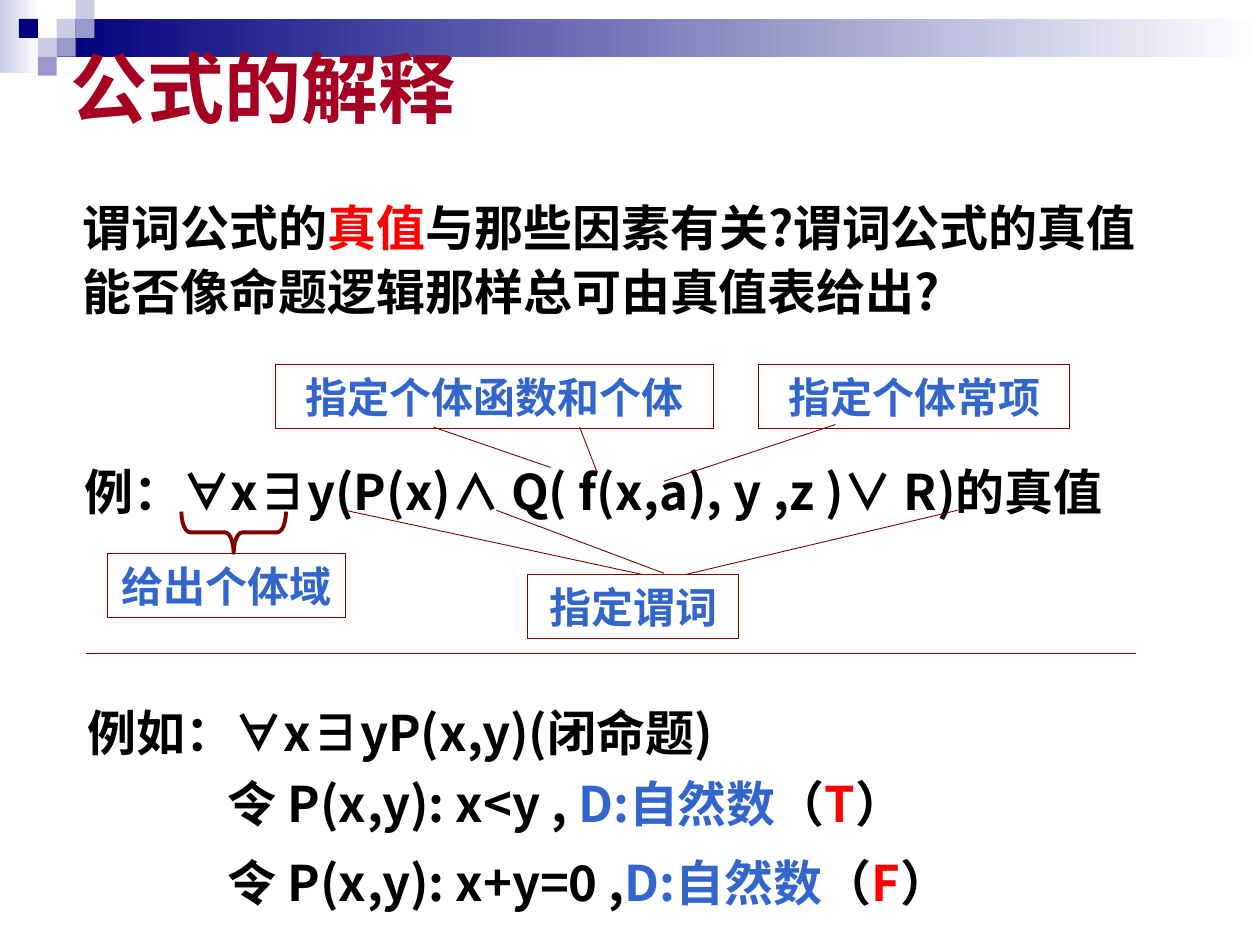
from lxml.etree import SubElement
from pptx import Presentation
from pptx.dml.color import RGBColor
from pptx.enum.shapes import MSO_CONNECTOR as Link, MSO_SHAPE as Shape
from pptx.enum.text import MSO_ANCHOR as Anchor, PP_ALIGN as Align
from pptx.oxml.ns import qn
from pptx.util import Pt

PX = 9144
FONT = "Noto Sans CJK SC"
BLACK, RED, BLUE, MAROON = "000000", "FF0000", "3366CC", "800000"
NAVY, MID, PALE, WHITE = "00007D", "9999CC", "CCCCE6", "FFFFFF"


def px(*nums):
    """Turn px lengths into EMU."""
    return [n * PX for n in nums]


def paint(part, hue):
    """Give a fill, line or font part a hex colour."""
    if hasattr(part, "solid"):
        part.solid()
        part = part.fore_color
    else:
        part = part.color
    part.rgb = RGBColor.from_string(hue)


def write(shape, runs, size=28, hue=BLACK, space=1.0, align=Align.LEFT,
          anchor=Anchor.TOP, wrap=True):
    """Write one bold paragraph of plain or (text, hue) runs."""
    frame = shape.text_frame
    frame.word_wrap, frame.vertical_anchor = wrap, anchor
    para = frame.paragraphs[0]
    para.line_spacing, para.alignment = space, align
    for item in runs:
        words, tint = item if isinstance(item, tuple) else (item, hue)
        run = para.add_run()
        run.text = words
        font = run.font
        font.size, font.bold, font.name = Pt(size), True, FONT
        paint(font, tint)
        SubElement(font._element, qn("a:ea"), typeface=FONT)


def text(slide, box, *runs, **form):
    """Add a text box with its runs."""
    write(slide.shapes.add_textbox(*px(*box)), runs, **form)


def block(slide, box, hue, end=None):
    """Add a borderless block, fading to the end colour if there is one."""
    shape = slide.shapes.add_shape(Shape.RECTANGLE, *px(*box))
    shape.shadow.inherit = False
    shape.line.fill.background()
    if end is None:
        paint(shape.fill, hue)
        return
    shape.fill.gradient()
    shape.fill.gradient_angle = 0
    for stop, tint, place in zip(shape.fill.gradient_stops, (hue, end), (0, 1)):
        stop.color.rgb = RGBColor.from_string(tint)
        stop.position = place


def outline(slide, kind, box, width=0.5):
    """Add an unfilled maroon shape."""
    shape = slide.shapes.add_shape(kind, *px(*box))
    shape.shadow.inherit = False
    shape.fill.background()
    paint(shape.line, MAROON)
    shape.line.width = Pt(width)
    return shape


def line(slide, *ends):
    """Add a thin maroon line."""
    link = slide.shapes.add_connector(Link.STRAIGHT, *px(*ends))
    paint(link.line, MAROON)
    link.line.width = Pt(0.5)
    SubElement(link._element.spPr, qn("a:effectLst"))


def label(slide, box, words):
    """Add a framed blue label."""
    write(outline(slide, Shape.RECTANGLE, box), [words], size=24, hue=BLUE,
          align=Align.CENTER, anchor=Anchor.MIDDLE, wrap=False)


def banner(slide, x, y, w):
    """Place the fading bands and the mosaic at the top."""
    cell = 15
    block(slide, (x, y, 31, 58), PALE, WHITE)
    block(slide, (x + 3 * cell, y + cell, w - 3 * cell, 2 * cell), NAVY, WHITE)
    tiles = [(3, 1, PALE), (4, 0, PALE), (4, 1, MID), (2, 2, PALE),
             (1, 1, NAVY), (3, 2, MID), (2, 3, MID)]
    for col, row, hue in tiles:
        block(slide, (x + col * cell, y + row * cell, cell, cell), hue)


def intro(slide, x, y, w):
    """Place the title and the question."""
    text(slide, (x, y, 361, 84), "公式的解释", size=44, hue="A50021")
    text(slide, (x + 10, y + 120, w, 114), "谓词公式的", ("真值", RED),
         "与那些因素有关?谓词公式的真值能否像命题逻辑那样总可由真值表给出?",
         space=1.1)


def formula(slide, x, y, w):
    """Place the formula with its labels, pointers and brace."""
    text(slide, (x, y + 60, w, 69),
         "例：∀x∃y(P(x)∧ Q( f(x,a), y ,z )∨ R)的真值",
         space=1.25, anchor=Anchor.MIDDLE)
    labels = [(162, 0, 347, "指定个体函数和个体"), (545, 0, 247, "指定个体常项"),
              (28, 150, 189, "给出个体域"), (362, 167, 167, "指定谓词")]
    for left, top, wide, words in labels:
        label(slide, (x + left, y + top, wide, 51), words)
    pointers = [(287, 50, 380, 82), (403, 50, 417, 86), (606, 48, 470, 93),
                (217, 116, 453, 167), (337, 116, 470, 166), (703, 116, 487, 167)]
    for x1, y1, x2, y2 in pointers:
        line(slide, x + x1, y + y1, x + x2, y + y2)
    brace = outline(slide, Shape.LEFT_BRACE, (x + 112, y + 92, 33, 83), 2.25)
    brace.rotation = 270
    brace.adjustments[0] = 0.21


def sample(slide, x, y, w):
    """Place the rule and the worked example below it."""
    line(slide, x + 8, y, x + w, y)
    text(slide, (x, y + 22, 700, 69), "例如：∀x∃yP(x,y)(闭命题)", space=1.25)
    cases = [("令 P(x,y): x<y , ", "T"), ("令 P(x,y): x+y=0 ,", "F")]
    for num, (claim, truth) in enumerate(cases):
        text(slide, (x + 111, y + 78 + 63 * num, 651, 69), claim,
             ("D:自然数", BLUE), "（", (truth, RED), "）", space=1.25)


def main():
    """Build and save the slide."""
    deck = Presentation()
    deck.slide_width, deck.slide_height = px(1000, 750)
    slide = deck.slides.add_slide(deck.slide_layouts[6])
    banner(slide, 0, 0, 1000)
    intro(slide, 46, 27, 875)
    formula(slide, 57, 289, 864)
    sample(slide, 60, 519, 842)
    deck.save("out.pptx")


if __name__ == "__main__":
    main()
